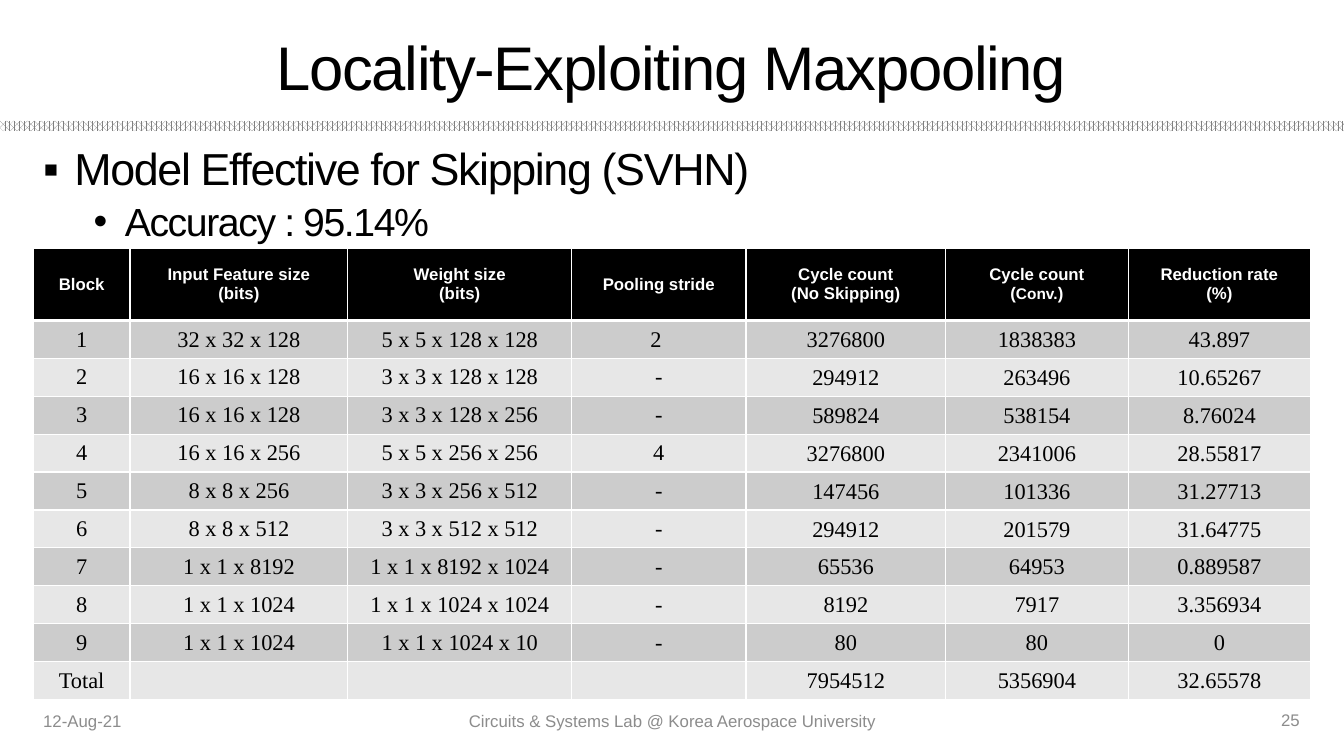
from lxml.etree import SubElement
from pptx import Presentation
from pptx.dml.color import RGBColor
from pptx.enum.dml import MSO_PATTERN
from pptx.enum.shapes import MSO_SHAPE
from pptx.enum.text import MSO_ANCHOR, PP_ALIGN
from pptx.oxml import parse_xml
from pptx.oxml.ns import nsdecls, qn
from pptx.util import Inches, Pt

BLACK = RGBColor(0, 0, 0)
WHITE = RGBColor(255, 255, 255)
GREY = RGBColor(0x80, 0x80, 0x80)
FAINT = RGBColor(0x8C, 0x8C, 0x8C)
BANDS = (RGBColor(0xCC, 0xCC, 0xCC), RGBColor(0xE7, 0xE7, 0xE7))

TITLE = "Locality-Exploiting Maxpooling"
# text, size, left indent, space before, bullet
POINTS = [
    ("Model Effective for Skipping (SVHN)", 32, 0.31, 10, "▪"),
    ("Accuracy : 95.14%", 28, 0.81, 5, "•"),
]
# text, left, top, width, alignment
FOOTER = [
    ("12-Aug-21", 0.33, 6.95, 3, PP_ALIGN.LEFT),
    ("Circuits & Systems Lab @ Korea Aerospace University", 4.42, 6.95, 4.5, PP_ALIGN.CENTER),
    ("25", 9.95, 6.94, 3.04, PP_ALIGN.RIGHT),
]
# each heading is a list of lines, each line a list of (text, size) runs
HEAD = [
    [[("Block", 12)]],
    [[("Input Feature size", 12)], [("(bits)", 12)]],
    [[("Weight size", 12)], [("(bits)", 12)]],
    [[("Pooling stride", 12)]],
    [[("Cycle count", 12)], [("(No Skipping)", 12)]],
    [[("Cycle count", 12)], [("(", 12), ("Conv.", 11), (")", 12)]],
    [[("Reduction rate", 12)], [("(%)", 12)]],
]
ROWS = [
    ("1", "32 x 32 x 128", "5 x 5 x 128 x 128", "2 ", "3276800", "1838383", "43.897"),
    ("2", "16 x 16 x 128", "3 x 3 x 128 x 128", "-", "294912", "263496", "10.65267"),
    ("3", "16 x 16 x 128", "3 x 3 x 128 x 256", "-", "589824", "538154", "8.76024"),
    ("4", "16 x 16 x 256", "5 x 5 x 256 x 256", "4", "3276800", "2341006", "28.55817"),
    ("5", "8 x 8 x 256", "3 x 3 x 256 x 512", "-", "147456", "101336", "31.27713"),
    ("6", "8 x 8 x 512", "3 x 3 x 512 x 512", "-", "294912", "201579", "31.64775"),
    ("7", "1 x 1 x 8192", "1 x 1 x 8192 x 1024", "-", "65536", "64953", "0.889587"),
    ("8", "1 x 1 x 1024", "1 x 1 x 1024 x 1024", "-", "8192", "7917", "3.356934"),
    ("9", "1 x 1 x 1024", "1 x 1 x 1024 x 10", "-", "80", "80", "0"),
    ("Total", "", "", "", "7954512", "5356904", "32.65578"),
]
COLS = (0.96, 2.16, 2.22, 1.73, 1.98, 1.81, 1.81)
WIDE, HIGH = 13.33, 7.5
LEFT, SPAN = 0.33, 12.66
TOP, TALL, HEADROW = 2.46, 4.48, 0.72
TIGHT = {"margin_left": 0.01, "margin_right": 0.01, "margin_top": 0.01, "margin_bottom": 0}


def write(para, text, size, color, name="Arial", bold=False, space=0):
    run = para.add_run()
    run.text = text
    style = {"size": Pt(size), "name": name, "bold": bold}
    for key, value in style.items():
        setattr(run.font, key, value)
    run.font.color.rgb = color
    if space:
        run.font._element.set("spc", str(space))


def frame(slide, left, top, width, height, anchor=MSO_ANCHOR.MIDDLE):
    box = slide.shapes.add_textbox(*map(Inches, (left, top, width, height)))
    box.text_frame.word_wrap = True
    box.text_frame.vertical_anchor = anchor
    return box.text_frame


def indent(para, left, mark):
    """Hang the paragraph's bullet before its left indent."""
    props = para._p.get_or_add_pPr()
    props.set("marL", str(Inches(left)))
    props.set("indent", str(-Inches(0.31)))
    SubElement(props, qn("a:buFont")).set("typeface", "Arial")
    SubElement(props, qn("a:buChar")).set("char", mark)


def border(cell, base):
    """Draw white cell edges, the lower one base points wide."""
    props = cell._tc.get_or_add_tcPr()
    for spot, (side, width) in enumerate(zip("LRTB", (1, 1, 1, base))):
        props.insert(spot, parse_xml(
            f'<a:ln{side} {nsdecls("a")} w="{Pt(width)}"><a:solidFill>'
            f'<a:srgbClr val="{WHITE}"/></a:solidFill></a:ln{side}>'))


def paint(cell, fill, lines, base=1, tight=False, **style):
    cell.fill.solid()
    cell.fill.fore_color.rgb = fill
    cell.vertical_anchor = MSO_ANCHOR.MIDDLE
    if tight:
        for key, value in TIGHT.items():
            setattr(cell, key, Inches(value))
    border(cell, base)
    text = cell.text_frame
    for n, line in enumerate(lines):
        para = text.add_paragraph() if n else text.paragraphs[0]
        para.alignment = PP_ALIGN.CENTER
        for words, size in line:
            write(para, words, size, **style)


def fill_table(slide):
    area = map(Inches, (LEFT, TOP, SPAN, TALL))
    table = slide.shapes.add_table(len(ROWS) + 1, len(COLS), *area).table
    for col, width in zip(table.columns, COLS):
        col.width = Inches(width)
    for n, row in enumerate(table.rows):
        row.height = Inches((TALL - HEADROW) / len(ROWS) if n else HEADROW)
    for c, lines in enumerate(HEAD):
        paint(table.cell(0, c), BLACK, lines, base=3, color=WHITE, bold=True)
    for r, row in enumerate(ROWS):
        for c, word in enumerate(row):
            paint(table.cell(r + 1, c), BANDS[r % 2], [[(word, 16)]] if word else [],
                  tight=c > 3 or not word, color=BLACK, name="Times New Roman")


def main():
    deck = Presentation()
    deck.slide_width, deck.slide_height = Inches(WIDE), Inches(HIGH)
    slide = deck.slides.add_slide(deck.slide_layouts[6])

    rule = slide.shapes.add_shape(MSO_SHAPE.RECTANGLE, 0, Inches(1.2), Inches(WIDE), Inches(0.1))
    rule.shadow.inherit = False
    rule.line.fill.background()
    rule.fill.patterned()
    rule.fill.pattern = MSO_PATTERN.PERCENT_70
    rule.fill.fore_color.rgb, rule.fill.back_color.rgb = GREY, WHITE

    body = frame(slide, LEFT, 1.41, SPAN, 5.35, MSO_ANCHOR.TOP)
    for n, (text, size, left, before, mark) in enumerate(POINTS):
        para = body.add_paragraph() if n else body.paragraphs[0]
        para.level = n
        para.line_spacing, para.space_before = 0.9, Pt(before)
        indent(para, left, mark)
        write(para, text, size, BLACK, space=-100)

    for text, left, top, width, align in FOOTER:
        para = frame(slide, left, top, width, 0.4).paragraphs[0]
        para.alignment = align
        write(para, text, 12, FAINT)

    para = frame(slide, LEFT, 0.22, SPAN, 0.87).paragraphs[0]
    para.alignment = PP_ALIGN.CENTER
    write(para, TITLE, 44, BLACK, space=-100)
    fill_table(slide)
    deck.save("out.pptx")


if __name__ == "__main__":
    main()
